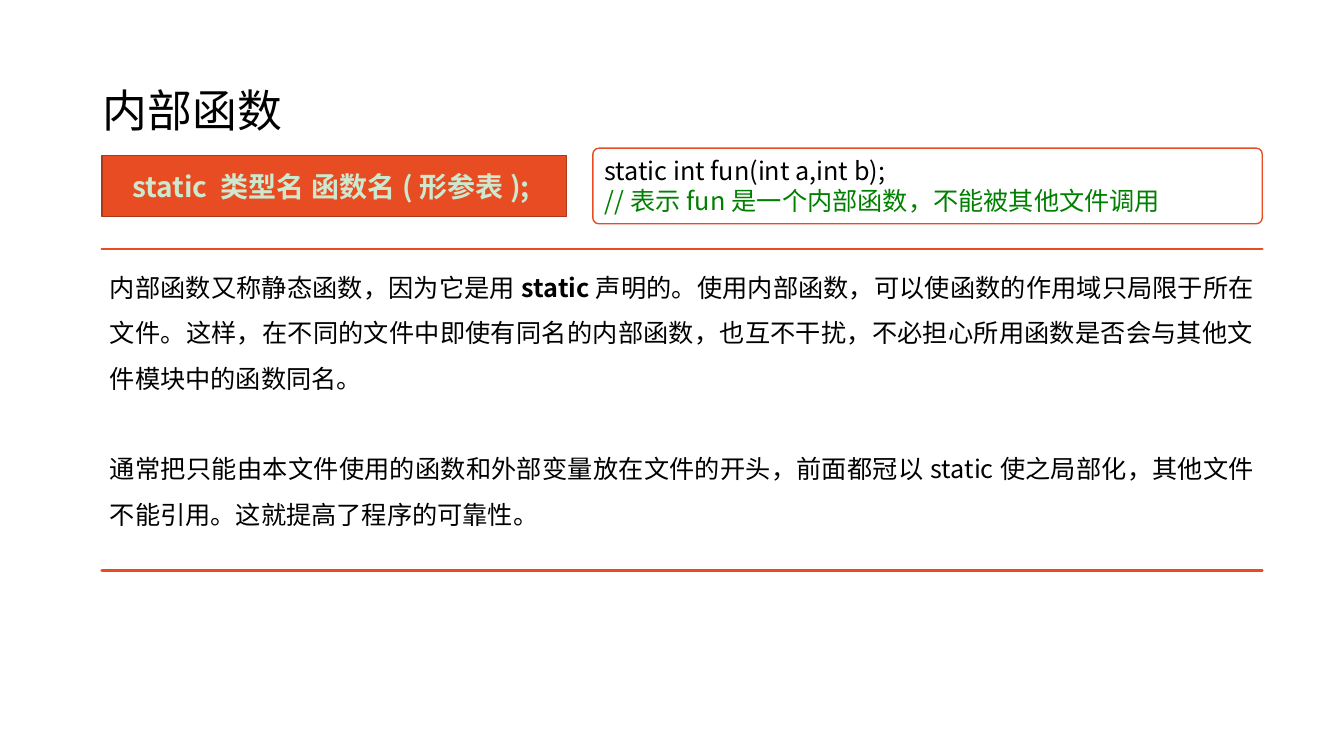
from lxml import etree
from pptx import Presentation
from pptx.dml.color import RGBColor
from pptx.enum.shapes import MSO_SHAPE
from pptx.enum.text import MSO_ANCHOR, PP_ALIGN
from pptx.oxml.ns import qn
from pptx.util import Inches, Pt

FONT = "Noto Sans CJK SC"
ORANGE, DARK_ORANGE = "E84C22", "AC3819"
PALE_GREEN, COMMENT_GREEN = "CCE8CF", "008000"
BLACK, WHITE = "000000", "FFFFFF"
EXPLANATION = [
    [
        ("内部函数又称静态函数，因为它是用", False),
        ("static", True),
        ("声明的。使用内部函数，可以使函数的作用域只局限于所在文件。"
         "这样，在不同的文件中即使有同名的内部函数，也互不干扰，"
         "不必担心所用函数是否会与其他文件模块中的函数同名。", False),
    ],
    [
        ("通常把只能由本文件使用的函数和外部变量放在文件的开头，"
         "前面都冠以static使之局部化，其他文件不能引用。"
         "这就提高了程序的可靠性。", False),
    ],
]


def rgb(code):
    return RGBColor.from_string(code)


def style(run, size, color=BLACK, bold=False):
    """Format a run, with the same font for Latin and Chinese text."""
    run.font.size = Pt(size)
    run.font.bold = bold
    run.font.color.rgb = rgb(color)
    run.font.name = FONT
    east_asian = etree.SubElement(run.font._element, qn("a:ea"))
    east_asian.set("typeface", FONT)


def add_panel(slide, preset, box, fill, line):
    panel = slide.shapes.add_shape(preset, *map(Inches, box))
    panel.shadow.inherit = False
    panel.fill.solid()
    panel.fill.fore_color.rgb = rgb(fill)
    panel.line.color.rgb = rgb(line)
    panel.line.width = Pt(1)
    panel.text_frame.word_wrap = True
    return panel


def add_title(slide, box):
    title = slide.shapes.title
    title.left, title.top, title.width, title.height = map(Inches, box)
    frame = title.text_frame
    frame.text = "内部函数"
    frame.vertical_anchor = MSO_ANCHOR.MIDDLE
    heading = frame.paragraphs[0]
    heading.alignment = PP_ALIGN.LEFT
    heading.line_spacing = 0.9
    style(heading.runs[0], 32)


def add_syntax(slide, box):
    syntax = add_panel(slide, MSO_SHAPE.RECTANGLE, box, ORANGE, DARK_ORANGE)
    frame = syntax.text_frame
    frame.text = "static 类型名 函数名(形参表); "
    frame.vertical_anchor = MSO_ANCHOR.MIDDLE
    frame.paragraphs[0].alignment = PP_ALIGN.CENTER
    style(frame.paragraphs[0].runs[0], 20, PALE_GREEN, True)


def add_example(slide, box):
    example = add_panel(slide, MSO_SHAPE.ROUNDED_RECTANGLE, box, WHITE, ORANGE)
    example.adjustments[0] = 0.08
    frame = example.text_frame
    frame.text = "static int fun(int a,int b);\n//表示fun是一个内部函数，不能被其他文件调用"
    frame.vertical_anchor = MSO_ANCHOR.TOP
    for paragraph, color in zip(frame.paragraphs, (BLACK, COMMENT_GREEN)):
        paragraph.alignment = PP_ALIGN.LEFT
        style(paragraph.runs[0], 18, color)


def add_ruled_frame(slide, box):
    """Draw one outline made of only a top and a bottom rule."""
    left, top, width, height = map(Inches, box)
    right, bottom = left + width, top + height
    outline = slide.shapes.build_freeform(left, bottom)
    outline.add_line_segments([(right, bottom)], close=True)
    outline.move_to(left, top)
    outline.add_line_segments([(right, top)], close=True)
    ruled = outline.convert_to_shape()
    ruled.shadow.inherit = False
    ruled.fill.background()
    ruled.line.color.rgb = rgb(ORANGE)
    ruled.line.width = Pt(2)
    return ruled


def add_explanation(slide, box):
    frame = add_ruled_frame(slide, box).text_frame
    frame.word_wrap = True
    frame.vertical_anchor = MSO_ANCHOR.TOP
    frame.margin_left = frame.margin_right = Inches(0.08)
    frame.margin_top = frame.margin_bottom = Inches(0.08)
    for index, pieces in enumerate(EXPLANATION):
        paragraph = frame.add_paragraph() if index else frame.paragraphs[0]
        paragraph.alignment = PP_ALIGN.JUSTIFY
        paragraph.line_spacing = 1.5
        if index:
            paragraph.space_before = Pt(32.5)
        for text, bold in pieces:
            run = paragraph.add_run()
            run.text = text
            style(run, 18, bold=bold)


def main():
    deck = Presentation()
    deck.slide_width, deck.slide_height = Inches(13.33), Inches(7.5)
    slide = deck.slides.add_slide(deck.slide_layouts[5])
    add_title(slide, (0.92, 0.4, 11.5, 1.45))
    add_syntax(slide, (1.01, 1.54, 4.61, 0.61))
    add_example(slide, (5.88, 1.47, 6.64, 0.75))
    add_explanation(slide, (1.01, 2.47, 11.51, 3.19))
    deck.save("out.pptx")


if __name__ == "__main__":
    main()
